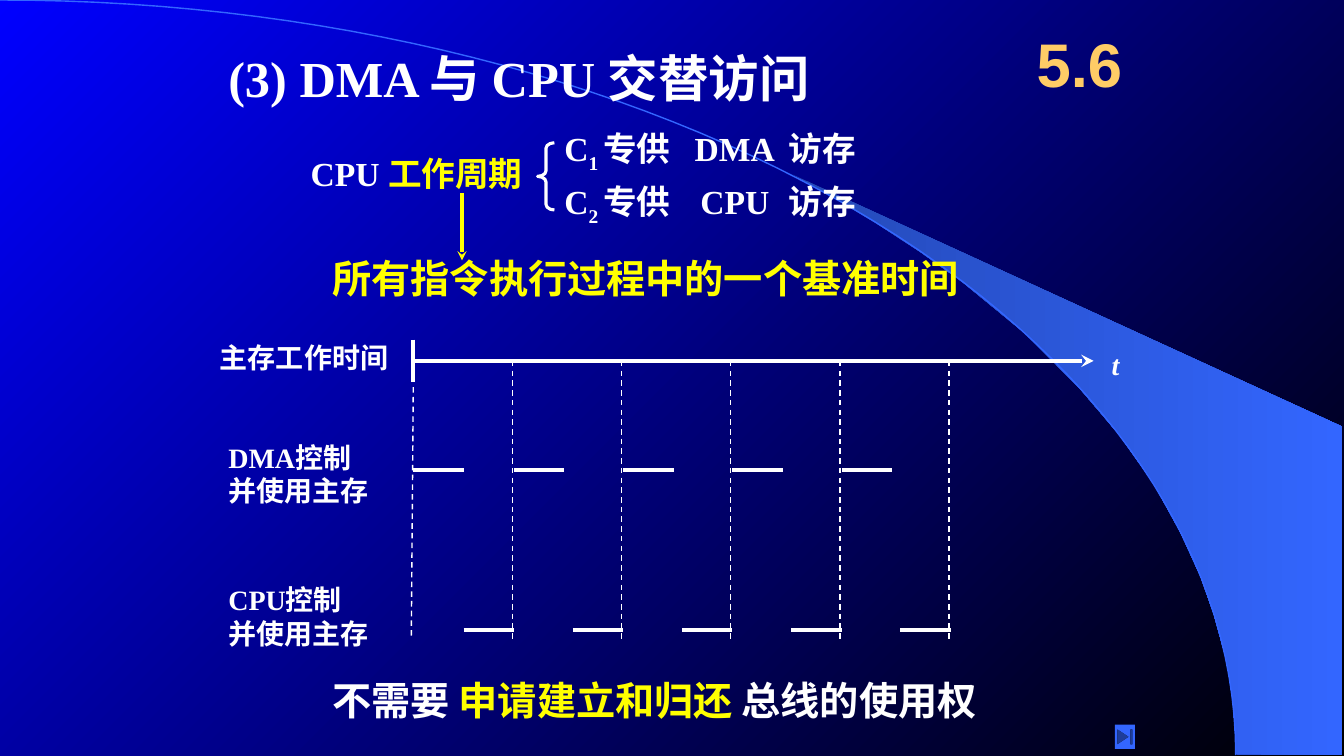
from math import cos, pi, sin

from lxml import etree
from pptx import Presentation
from pptx.dml.color import RGBColor
from pptx.enum.dml import MSO_LINE
from pptx.enum.shapes import MSO_CONNECTOR, MSO_SHAPE
from pptx.enum.text import MSO_ANCHOR, MSO_AUTO_SIZE, PP_ALIGN
from pptx.oxml.ns import qn
from pptx.util import Pt

STRAIGHT = MSO_CONNECTOR.STRAIGHT
DASH = MSO_LINE.DASH
LEFT_BRACE, END_BUTTON = MSO_SHAPE.LEFT_BRACE, MSO_SHAPE.ACTION_BUTTON_END
CENTER, MIDDLE = PP_ALIGN.CENTER, MSO_ANCHOR.MIDDLE
FIT = MSO_AUTO_SIZE.SHAPE_TO_FIT_TEXT

WHITE = RGBColor(0xFF, 0xFF, 0xFF)
YELLOW = RGBColor(0xFF, 0xFF, 0x00)
ORANGE = RGBColor(0xFF, 0xCC, 0x66)
BLUE = RGBColor(0x00, 0x00, 0xFF)
BLACK = RGBColor(0x00, 0x00, 0x00)
SKY = RGBColor(0x33, 0x66, 0xFF)
DEEP_SKY = RGBColor(0x24, 0x49, 0xB6)
SERIF, SANS = "Times New Roman", "Arial"

# (left, top, width, height), size, paragraphs; a paragraph is a list of (text, colour)
STATEMENTS = [
    ((156, 30, 498, 50), 36, [[("(3) DMA 与 CPU 交替访问", WHITE)]]),
    ((214.8, 106, 181, 36), 24, [[("CPU ", WHITE), ("工作周期", YELLOW)]]),
    ((230.4, 178, 547, 41), 28, [[("所有指令执行过程中的一个基准时间", YELLOW)]]),
    ((230.4, 479.5, 578, 41), 28,
     [[("不需要 ", WHITE), ("申请建立和归还 ", YELLOW), ("总线的使用权", WHITE)]]),
]
TIMING_LABELS = [
    ((150, 240, 135, 31), 20, [[("主存工作时间", WHITE)]]),
    ((156, 311, 115, 55), 20, [[("DMA控制", WHITE)], [("并使用主存", WHITE)]]),
    ((156, 412.5, 115, 55), 20, [[("CPU控制", WHITE)], [("并使用主存", WHITE)]]),
]
TIME_AXIS = ((787, 245, 20, 31), 20, [[("t", WHITE)]])
SECTION = ((726, 12, 90, 66), 44, [[("5.6", ORANGE)]])

# subscript, user of the memory, top
SUBCYCLES = [("1", "DMA", 88), ("2", "CPU", 126)]
USER_TAB, ACCESS_TAB = 121.8, 160.4

AXIS_START, AXIS_END, AXIS_Y = 295.2, 781.2, 257.8
FIRST_MARK, PERIOD, CYCLES = 366, 78, 5
PULSE = 36
DMA_Y, CPU_Y, MARK_BOTTOM = 336, 450, 456.5

ARC_WIDTH, ARC_HEIGHT, ARC_STEPS = 882.7, 539.3, 60
WEDGE = [
    (883.4, 538.6), (958.3, 539.3), (958.3, 304.6), (565.9, 124.6), (599, 143.3),
    (626.4, 159.8), (657.4, 180), (687.6, 201.6), (731.5, 237.6), (770.4, 276.5),
    (799.2, 310.3), (823.7, 344.9), (843.1, 380.2), (857.5, 411.8), (866.9, 438.5),
    (876.2, 472.3), (880.6, 501.1),
]

prs = Presentation()
prs.slide_width, prs.slide_height = Pt(960), Pt(540)
slide = prs.slides.add_slide(prs.slide_layouts[6])
shapes = slide.shapes


def set_gradient(fill, first, last, angle):
    fill.gradient()
    fill.gradient_angle = angle
    for stop, color in zip(fill.gradient_stops, (first, last)):
        stop.color.rgb = color


def outline(points, close):
    points = [(Pt(x), Pt(y)) for x, y in points]
    builder = shapes.build_freeform(*points[0])
    builder.add_line_segments(points[1:], close=close)
    shape = builder.convert_to_shape()
    shape.shadow.inherit = False
    return shape


def add_text(box, size, paragraphs, wrap=True, font=SERIF):
    textbox = shapes.add_textbox(*map(Pt, box))
    frame = textbox.text_frame
    frame.word_wrap = wrap
    frame.auto_size = FIT
    for i, runs in enumerate(paragraphs):
        paragraph = frame.paragraphs[0] if i == 0 else frame.add_paragraph()
        paragraph.font.name = font
        paragraph.font.size = Pt(size)
        paragraph.font.bold = True
        for text, color in runs:
            run = paragraph.add_run()
            run.text = text
            run.font.color.rgb = color
    return frame


def add_subcycle(subscript, user, top):
    """Write one half of the CPU cycle, with tabs keeping both halves in line."""
    frame = add_text((396, top, 318, 36), 24, [[
        ("C", WHITE), (subscript + " ", WHITE), (f"专供\t{user}\t访存", WHITE)]])
    paragraph = frame.paragraphs[0]
    paragraph.runs[1].font._element.set("baseline", "-25000")
    properties = paragraph._p.get_or_add_pPr()
    tabs = etree.Element(qn("a:tabLst"))
    for position, align in ((USER_TAB, "ctr"), (ACCESS_TAB, "l")):
        etree.SubElement(tabs, qn("a:tab"), pos=str(int(Pt(position))), algn=align)
    properties.insert(0, tabs)


def add_line(x1, y1, x2, y2, width, color=WHITE, dash=None, arrow=False):
    connector = shapes.add_connector(STRAIGHT, Pt(x1), Pt(y1), Pt(x2), Pt(y2))
    line = connector.line
    line.width = Pt(width)
    line.color.rgb = color
    if dash:
        line.dash_style = dash
    if arrow:
        etree.SubElement(line._ln, qn("a:tailEnd"), type="stealth")
    etree.SubElement(connector._element.spPr, qn("a:effectLst"))


# Backdrop
set_gradient(slide.background.fill, BLUE, BLACK, 315)
wedge = outline(WEDGE, True)
set_gradient(wedge.fill, DEEP_SKY, SKY, 0)
wedge.line.fill.background()
angles = [pi / 2 * i / ARC_STEPS for i in range(ARC_STEPS + 1)]
arc = outline([(ARC_WIDTH * sin(a), ARC_HEIGHT * (1 - cos(a))) for a in angles], False)
arc.fill.background()
arc.line.color.rgb = SKY
arc.line.width = Pt(1)

# Timing diagram
for label in TIMING_LABELS:
    add_text(*label, wrap=False)
add_text(*TIME_AXIS, wrap=False).paragraphs[0].font.italic = True
add_line(AXIS_START, 242.6, AXIS_START, 273, 3)
add_line(AXIS_START, AXIS_Y, AXIS_END, AXIS_Y, 3, arrow=True)
add_line(AXIS_START, 276.5, 293.8, 455, 1, dash=DASH)
for cycle in range(CYCLES):
    mark = FIRST_MARK + PERIOD * cycle
    dma_start = mark - PERIOD + 1.2 if cycle else AXIS_START
    cpu_start = AXIS_START + PULSE + PERIOD * cycle
    add_line(dma_start, DMA_Y, dma_start + PULSE, DMA_Y, 3)
    add_line(cpu_start, CPU_Y, cpu_start + PULSE, CPU_Y, 3)
    add_line(mark, AXIS_Y, mark, MARK_BOTTOM, 1, dash=DASH)

# Statements and the split of the CPU cycle
for statement in STATEMENTS:
    add_text(*statement)
for subcycle in SUBCYCLES:
    add_subcycle(*subcycle)
brace = shapes.add_shape(LEFT_BRACE, Pt(384), Pt(102), Pt(12), Pt(48))
brace.shadow.inherit = False
brace.adjustments[0] = 0.33
brace.fill.background()
brace.line.color.rgb = WHITE
brace.line.width = Pt(2.25)
add_line(330, 138, 330, 186, 2.25, YELLOW, arrow=True)

section = add_text(*SECTION, font=SANS)
section.auto_size = MSO_AUTO_SIZE.NONE
section.vertical_anchor = MIDDLE
section.paragraphs[0].alignment = CENTER

end_button = shapes.add_shape(END_BUTTON, Pt(796.3), Pt(517.7), Pt(14.4), Pt(17.3))
end_button.shadow.inherit = False
end_button.fill.solid()
end_button.fill.fore_color.rgb = SKY
end_button.line.fill.background()

prs.save("out.pptx")
